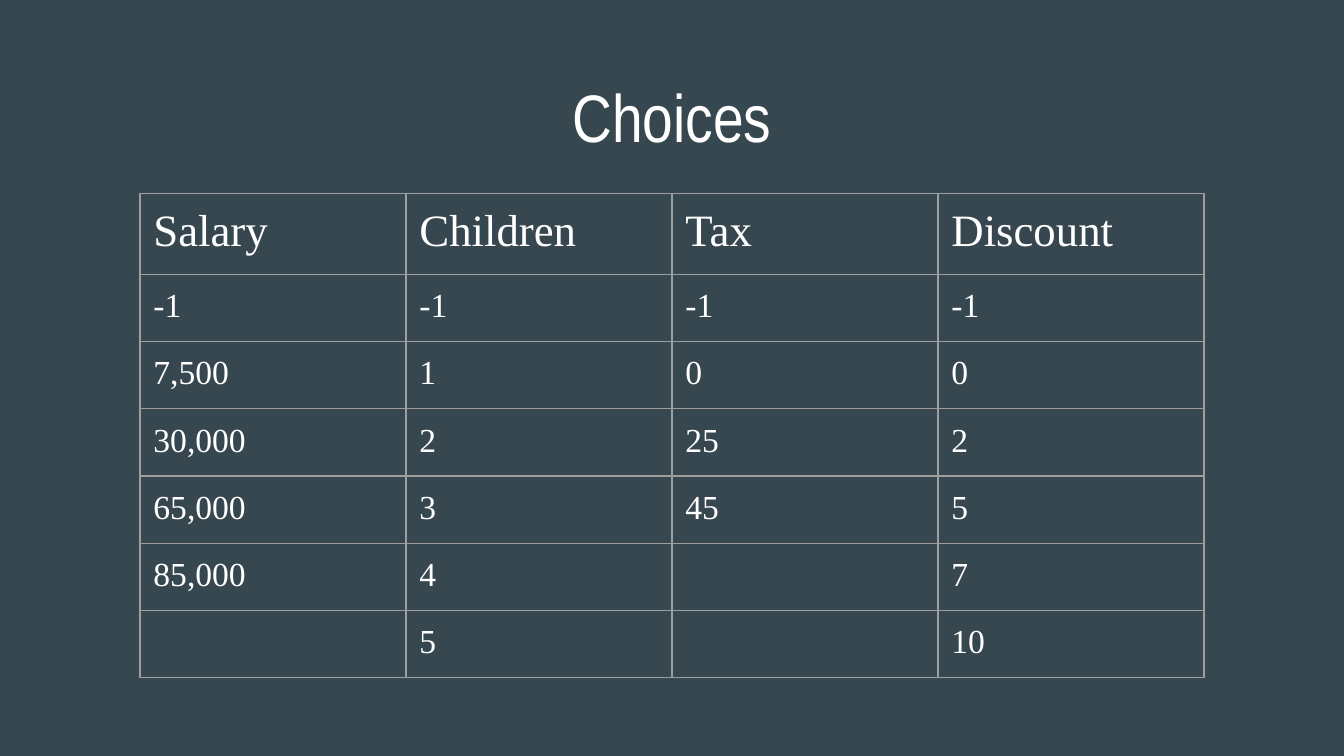
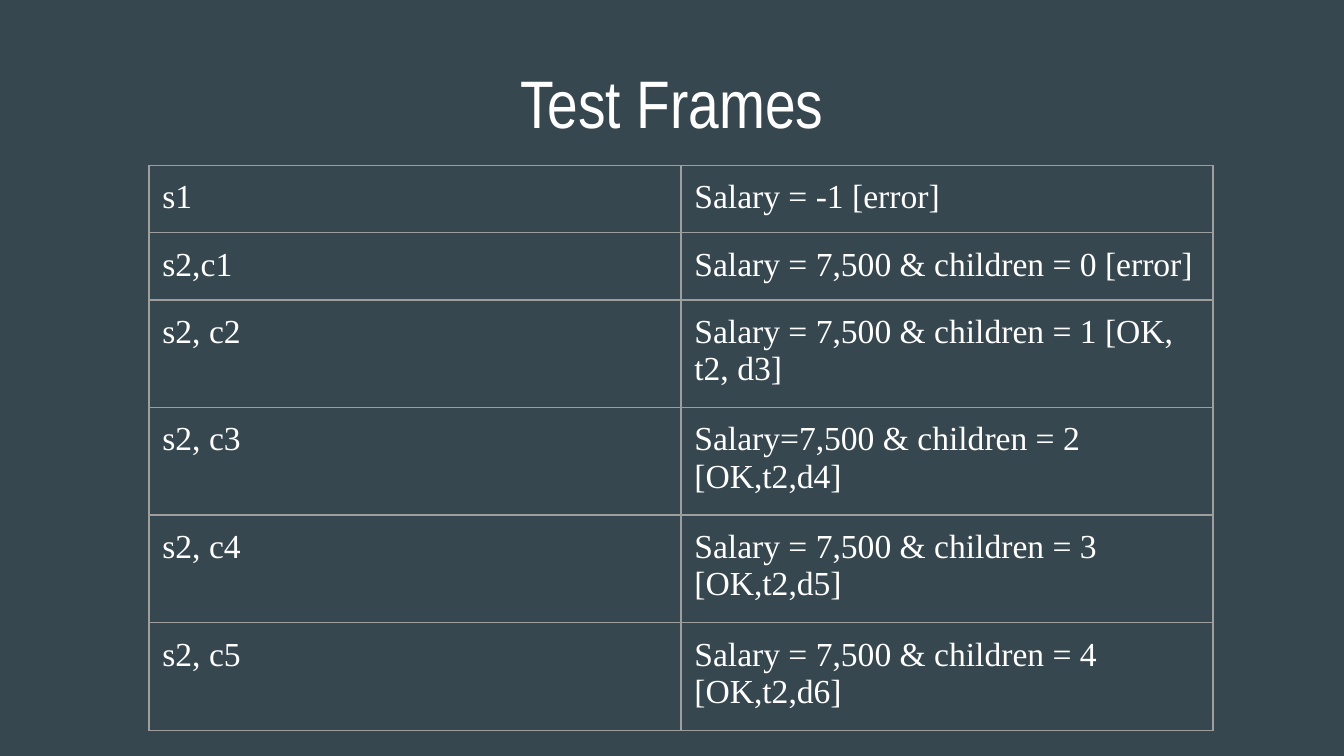
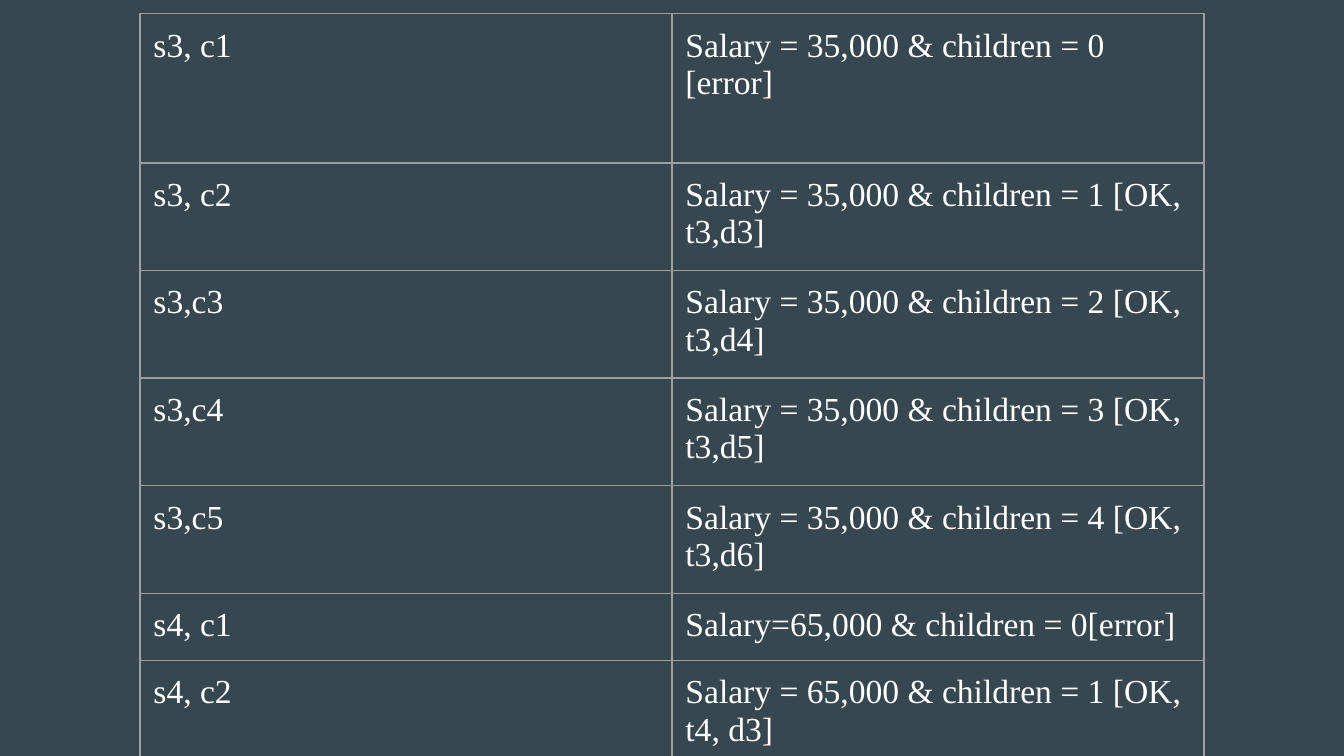
import pptx
import pptx.dml.color
import pptx.enum.text
import pptx.oxml
import pptx.oxml.ns
import pptx.util
from dataclasses import dataclass

Pt = pptx.util.Pt
RGB = pptx.dml.color.RGBColor.from_string


@dataclass(frozen=True)
class Theme:
    background: str = "37474F"
    ink: str = "FFFFFF"
    rule: str = "9E9E9E"
    rule_width: float = 0.75
    title_font: str = "Arial Narrow"
    table_font: str = "Times New Roman"
    title_size: int = 36
    header_size: int = 24
    body_size: int = 18
    inset: float = 7.2


THEME = Theme()
SLIDE_WIDTH, SLIDE_HEIGHT = 720, 405
TITLE_WIDTH, TITLE_HEIGHT = 618, 67.5
TABLE_WIDTH = 570

SLIDES = [
    {
        "title": "Choices", "title_top": 28.2,
        "table_at": (75, 103.7), "has_header": True,
        "row_heights": [30.24] * 7,
        "rows": [
            ("Salary", "Children", "Tax", "Discount"),
            ("-1", "-1", "-1", "-1"),
            ("7,500", "1", "0", "0"),
            ("30,000", "2", "25", "2"),
            ("65,000", "3", "45", "5"),
            ("85,000", "4", "", "7"),
            ("", "5", "", "10"),
        ],
    },
    {
        "title": "Test Frames", "title_top": 20.9,
        "table_at": (79.8, 88.6), "has_header": False,
        "row_heights": [31, 31, 31, 50.4, 31, 31],
        "rows": [
            ("s1", "Salary = -1 [error]"),
            ("s2,c1", "Salary = 7,500 & children = 0 [error]"),
            ("s2, c2", "Salary = 7,500 & children = 1 [OK, t2, d3]"),
            ("s2, c3", "Salary=7,500 & children = 2 [OK,t2,d4]"),
            ("s2, c4", "Salary = 7,500 & children = 3 [OK,t2,d5]"),
            ("s2, c5", "Salary = 7,500 & children = 4 [OK,t2,d6]"),
        ],
    },
    {
        "title": None,
        "table_at": (75, 7.4), "has_header": False,
        "row_heights": [79.9, 56.3, 56.3, 56.3, 56.3, 35.3, 56.3],
        "rows": [
            ("s3, c1", "Salary = 35,000 & children = 0 [error]"),
            ("s3, c2", "Salary = 35,000 & children = 1 [OK, t3,d3]"),
            ("s3,c3", "Salary = 35,000 & children = 2 [OK, t3,d4]"),
            ("s3,c4", "Salary = 35,000 & children = 3 [OK, t3,d5]"),
            ("s3,c5", "Salary = 35,000 & children = 4 [OK, t3,d6]"),
            ("s4, c1", "Salary=65,000 & children = 0[error]"),
            ("s4, c2", "Salary = 65,000 & children = 1 [OK, t4, d3]"),
        ],
    },
]


def set_insets(holder):
    """Give a cell or text frame the same margin on all sides."""
    for side in ("left", "top", "right", "bottom"):
        setattr(holder, f"margin_{side}", Pt(THEME.inset))


def write(paragraph, text, font, size):
    run = paragraph.add_run()
    run.text = text
    for attribute, value in {"name": font, "size": Pt(size)}.items():
        setattr(run.font, attribute, value)
    run.font.color.rgb = RGB(THEME.ink)


def add_title(slide, text, top):
    title = slide.shapes.add_textbox(
        Pt((SLIDE_WIDTH - TITLE_WIDTH) / 2), Pt(top), Pt(TITLE_WIDTH), Pt(TITLE_HEIGHT))
    frame = title.text_frame
    frame.word_wrap = True
    frame.vertical_anchor = pptx.enum.text.MSO_ANCHOR.MIDDLE
    set_insets(frame)
    heading = frame.paragraphs[0]
    heading.alignment = pptx.enum.text.PP_ALIGN.CENTER
    write(heading, text, THEME.title_font, THEME.title_size)


def draw_borders(cell):
    properties = cell._tc.get_or_add_tcPr()
    for position, side in enumerate("LRTB"):
        properties.insert(position, pptx.oxml.parse_xml(
            f'<a:ln{side} {pptx.oxml.ns.nsdecls("a")} w="{Pt(THEME.rule_width)}">'
            f'<a:solidFill><a:srgbClr val="{THEME.rule}"/></a:solidFill></a:ln{side}>'))


def add_grid(slide, content):
    rows, heights = content["rows"], content["row_heights"]
    left, top = content["table_at"]
    columns = len(rows[0])
    grid = slide.shapes.add_table(
        len(rows), columns, Pt(left), Pt(top), Pt(TABLE_WIDTH), Pt(sum(heights))).table
    grid.first_row = grid.horz_banding = False
    for column in grid.columns:
        column.width = Pt(TABLE_WIDTH / columns)
    for r, (entries, height) in enumerate(zip(rows, heights)):
        grid.rows[r].height = Pt(height)
        is_header = content["has_header"] and r == 0
        size = THEME.header_size if is_header else THEME.body_size
        for c, entry in enumerate(entries):
            cell = grid.cell(r, c)
            cell.fill.background()
            draw_borders(cell)
            if entry:
                set_insets(cell)
                write(cell.text_frame.paragraphs[0], entry, THEME.table_font, size)


def main():
    deck = pptx.Presentation()
    deck.slide_width, deck.slide_height = Pt(SLIDE_WIDTH), Pt(SLIDE_HEIGHT)
    for content in SLIDES:
        slide = deck.slides.add_slide(deck.slide_layouts[6])
        slide.background.fill.solid()
        slide.background.fill.fore_color.rgb = RGB(THEME.background)
        if content["title"]:
            add_title(slide, content["title"], content["title_top"])
        add_grid(slide, content)
    deck.save("out.pptx")


if __name__ == "__main__":
    main()
